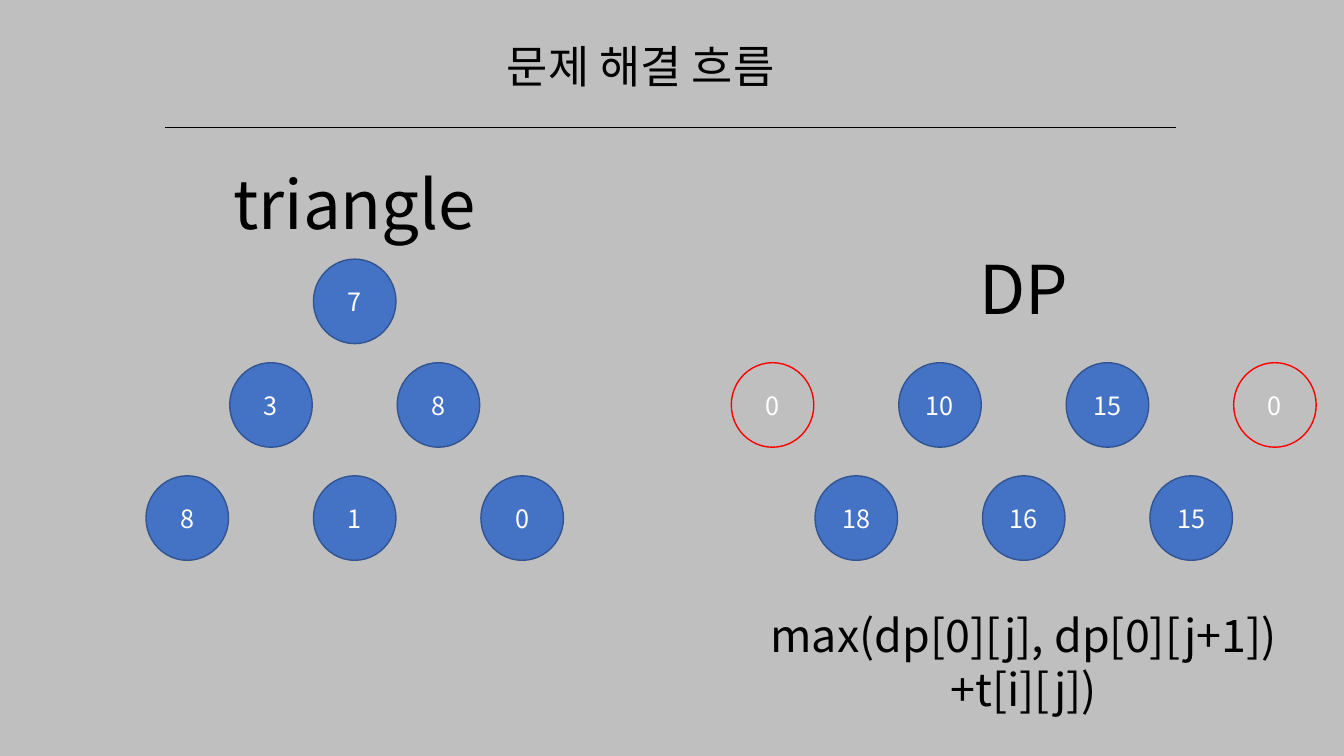
import pptx
import pptx.util
import pptx.dml.color
import pptx.enum.shapes
import pptx.enum.text
import lxml.etree
from dataclasses import dataclass
from pptx.util import Cm, Pt


@dataclass(frozen=True)
class Theme:
    font: str = "Noto Sans CJK KR"
    background: str = "BFBFBF"
    ink: str = "000000"
    node_fill: str = "4472C4"
    node_line: str = "325491"
    node_text: str = "FFFFFF"
    padding_line: str = "FF0000"
    title_size: int = 32
    heading_size: int = 48
    node_size: int = 18


@dataclass(frozen=True)
class Box:
    left: float
    top: float
    width: float
    height: float

    def inner(self, left, top, width, height):
        return Box(self.left + left, self.top + top, width, height)

    def lengths(self):
        return [Cm(v) for v in (self.left, self.top, self.width, self.height)]


THEME = Theme()
NODE_W, NODE_H, PITCH = 2.08, 2.13, 4.22


def rgb(value):
    return pptx.dml.color.RGBColor.from_string(value)


def write(tf, lines, size, color):
    tf.word_wrap = True
    for i, line in enumerate(lines):
        p = tf.paragraphs[0] if i == 0 else tf.add_paragraph()
        p.alignment = pptx.enum.text.PP_ALIGN.CENTER
        r = p.add_run()
        r.text = line
        r.font.size = Pt(size)
        r.font.name = THEME.font
        r.font.color.rgb = rgb(color)
        # Korean glyphs use the East Asian typeface
        ea = lxml.etree.SubElement(r.font._element, pptx.oxml.ns.qn("a:ea"))
        ea.set("typeface", THEME.font)


def add_label(s, box, lines, size):
    sp = s.shapes.add_textbox(*box.lengths())
    write(sp.text_frame, lines, size, THEME.ink)


def add_node(s, box, value, padding=False):
    sp = s.shapes.add_shape(pptx.enum.shapes.MSO_SHAPE.OVAL, *box.lengths())
    sp.shadow.inherit = False
    if padding:
        sp.fill.background()
    else:
        sp.fill.solid()
        sp.fill.fore_color.rgb = rgb(THEME.node_fill)
    sp.line.color.rgb = rgb(THEME.padding_line if padding else THEME.node_line)
    sp.line.width = Pt(1)
    tf = sp.text_frame
    tf.vertical_anchor = pptx.enum.text.MSO_ANCHOR.MIDDLE
    write(tf, [value], THEME.node_size, THEME.node_text)


def add_row(s, box, top, values, padded=False):
    """Centre a row of evenly pitched nodes in the box."""
    first = (box.width - NODE_W - PITCH * (len(values) - 1)) / 2
    for i, value in enumerate(values):
        node = box.inner(first + i * PITCH, top, NODE_W, NODE_H)
        add_node(s, node, value, padded and i in (0, len(values) - 1))


def add_header(s, box):
    # Title
    add_label(s, box.inner(4.93, 0, 14.1, 1.63), ["문제 해결 흐름"], THEME.title_size)
    # Rule below the title
    y = Cm(box.top + box.height)
    line = s.shapes.add_connector(pptx.enum.shapes.MSO_CONNECTOR.STRAIGHT,
                                  Cm(box.left), y, Cm(box.left + box.width), y)
    line.line.color.rgb = rgb(THEME.ink)
    line.line.width = Pt(0.5)
    lxml.etree.SubElement(line._element.spPr, pptx.oxml.ns.qn("a:effectLst"))


def add_triangle(s, box):
    add_label(s, box.inner(0, 0, box.width, 2.31), ["triangle"], THEME.heading_size)
    for top, values in ((2.57, "7"), (5.18, "38"), (8.03, "810")):
        add_row(s, box, top, values)


def add_dp(s, box):
    add_label(s, box.inner(0, 0, box.width, 2.31), ["DP"], THEME.heading_size)
    # Upper row is padded with a zero on each side
    add_row(s, box, 3.02, ["0", "10", "15", "0"], padded=True)
    add_row(s, box, 5.87, ["18", "16", "15"])
    # Recurrence
    add_label(s, box.inner(0, 9.07, box.width, 3),
              ["max(dp[0][j], dp[0][j+1])", "+t[i][j])"], THEME.title_size)


prs = pptx.Presentation()
prs.slide_width, prs.slide_height = Cm(33.87), Cm(19.05)
s = prs.slides.add_slide(prs.slide_layouts[6])
s.background.fill.solid()
s.background.fill.fore_color.rgb = rgb(THEME.background)

add_header(s, Box(4.17, 0.86, 25.47, 2.34))
add_triangle(s, Box(3.68, 3.96, 10.52, 10.16))
add_dp(s, Box(17.65, 6.12, 16.3, 12.07))

prs.save("out.pptx")
